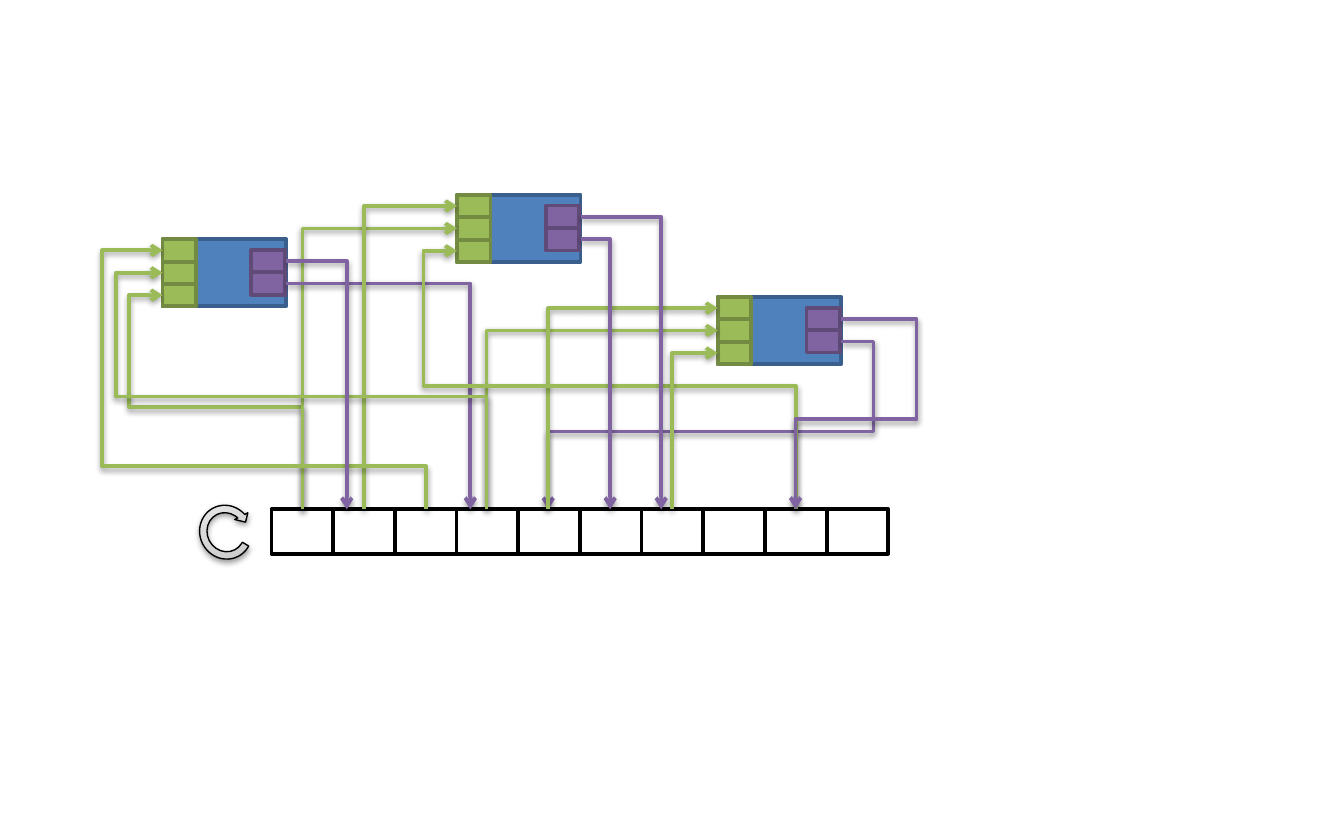
"""Draw three processing blocks wired to a row of memory cells."""
import pptx
import pptx.dml.color
import pptx.enum.shapes
import pptx.oxml
import pptx.oxml.ns
import pptx.util

Inches = pptx.util.Inches
SHAPE = pptx.enum.shapes.MSO_SHAPE
NS = pptx.oxml.ns.nsdecls("a")
GREEN, PURPLE = "9BBB59", "8064A2"
SHADOW = (f'<a:effectLst {NS}><a:outerShdw blurRad="40000" dist="20000" dir="5400000" '
          'rotWithShape="0"><a:srgbClr val="000000"><a:alpha val="38000"/></a:srgbClr>'
          '</a:outerShdw></a:effectLst>')


def rgb(value):
    return pptx.dml.color.RGBColor.from_string(value)


def add_box(shapes, x, y, w, h, fill, line):
    sp = shapes.add_shape(SHAPE.RECTANGLE, Inches(x), Inches(y), Inches(w), Inches(h))
    sp.shadow.inherit = False
    sp.fill.solid()
    sp.fill.fore_color.rgb = rgb(fill)
    sp.line.color.rgb = rgb(line)
    sp.line.width = pptx.util.Pt(2)


prs = pptx.Presentation()
prs.slide_width, prs.slide_height = Inches(10), Inches(6.25)
slide = prs.slides.add_slide(prs.slide_layouts[6])

blocks = {"middle": (3.4, 1.45), "right": (5.34, 2.21), "left": (1.21, 1.78)}
block_w, block_h, port_w, output_drop = 0.92, 0.5, 0.25, 0.08
port_h = block_h / 3
for x, y in blocks.values():
    group = slide.shapes.add_group_shape()
    add_box(group.shapes, x, y, block_w, block_h, "4F81BD", "3A5F8C")
    for i in range(3):
        add_box(group.shapes, x, y + i * port_h, port_w, port_h, GREEN, "738A42")
    for i in range(2):
        add_box(group.shapes, x + 0.66, y + output_drop + i * port_h, port_w, port_h,
                PURPLE, "5F4A78")

row_x, row_y, row_w, cells = 2.02, 3.79, 4.59, 10
cell_w = row_w / cells
for i in range(cells):
    add_box(slide.shapes, row_x + i * cell_w, row_y, cell_w, 0.33, "FFFFFF", "000000")

# colour, block, port, x on the row, detour (x, y)
wires = [
    (GREEN, "left", 2, 2.25, (0.96, 3.03)),
    (GREEN, "middle", 1, 2.25, None),
    (GREEN, "right", 1, 3.62, None),
    (PURPLE, "left", 1, 3.5, None),
    (PURPLE, "right", 1, 4.08, (6.5, 3.21)),
    (GREEN, "right", 0, 4.08, None),
    (GREEN, "middle", 0, 2.71, None),
    (GREEN, "middle", 2, 5.92, (3.15, 2.87)),
    (PURPLE, "right", 0, 5.92, (6.82, 3.12)),
    (GREEN, "right", 2, 5, None),
    (GREEN, "left", 0, 3.17, (0.76, 3.47)),
    (GREEN, "left", 1, 3.62, (0.86, 2.95)),
    (PURPLE, "left", 0, 2.58, None),
    (PURPLE, "middle", 1, 4.54, None),
    (PURPLE, "middle", 0, 4.92, None),
]
for color, block, port, cell_x, detour in wires:
    port_x, port_y = blocks[block]
    port_y += (port + 0.5) * port_h
    if color == PURPLE:
        port_x, port_y = port_x + block_w, port_y + output_drop
    dx, dy = abs(cell_x - port_x), row_y - port_y
    if color == GREEN:
        w, h = dy, dx
        rot, flips = (270, ["flipV"]) if detour else (90, ["flipH", "flipV"])
    else:
        w, h = dx, dy
        rot, flips = 0, ["flipH"] if detour else []
    left, top = (cell_x + port_x - w) / 2, (row_y + port_y - h) / 2
    wire = slide.shapes.add_connector(pptx.enum.shapes.MSO_CONNECTOR.ELBOW, Inches(left),
                                      Inches(top), Inches(left + w), Inches(top + h))
    wire.line.color.rgb = rgb(color)
    wire.line.width = pptx.util.Pt(2)
    spPr = wire._element.spPr
    spPr.xfrm.set("rot", str(rot * 60000))
    for flip in flips:
        spPr.xfrm.set(flip, "1")
    geom = spPr.find(pptx.oxml.ns.qn("a:prstGeom"))
    geom.set("prst", "bentConnector4" if detour else "bentConnector2")
    if detour:
        via_x, via_y = detour
        if color == GREEN:
            bends = (row_y - via_y) / dy, (cell_x - via_x) / dx
        else:
            bends = (port_x - via_x) / dx, (via_y - port_y) / dy
        guides = "".join(f'<a:gd name="adj{n}" fmla="val {round(bend * 100000)}"/>'
                         for n, bend in enumerate(bends, 1))
        for old in list(geom):
            geom.remove(old)
        geom.append(pptx.oxml.parse_xml(f"<a:avLst {NS}>{guides}</a:avLst>"))
    wire.line._get_or_add_ln().append(pptx.oxml.parse_xml(f'<a:tailEnd {NS} type="arrow"/>'))
    spPr.append(pptx.oxml.parse_xml(SHADOW))

loop = slide.shapes.add_shape(SHAPE.CIRCULAR_ARROW, Inches(1.46), Inches(3.73),
                              Inches(0.44), Inches(0.46))
loop.rotation = 333.1
for i, value in enumerate((0.125, 11.423, 204.577, 34.813, 0.125)):
    loop.adjustments[i] = value
loop.line.color.rgb = rgb("000000")
loop.line.width = pptx.util.Pt(0.75)
stops = "".join(f'<a:gs pos="{pos * 1000}"><a:srgbClr val="{color}"/></a:gs>'
                for pos, color in ((0, "BDBDBD"), (35, "D1D1D1"), (100, "EEEEEE")))
spPr = loop._element.spPr
spPr.find(pptx.oxml.ns.qn("a:prstGeom")).addnext(pptx.oxml.parse_xml(
    f'<a:gradFill {NS} rotWithShape="1"><a:gsLst>{stops}</a:gsLst>'
    '<a:lin ang="16200000" scaled="1"/></a:gradFill>'))
spPr.append(pptx.oxml.parse_xml(SHADOW))

prs.save("out.pptx")
